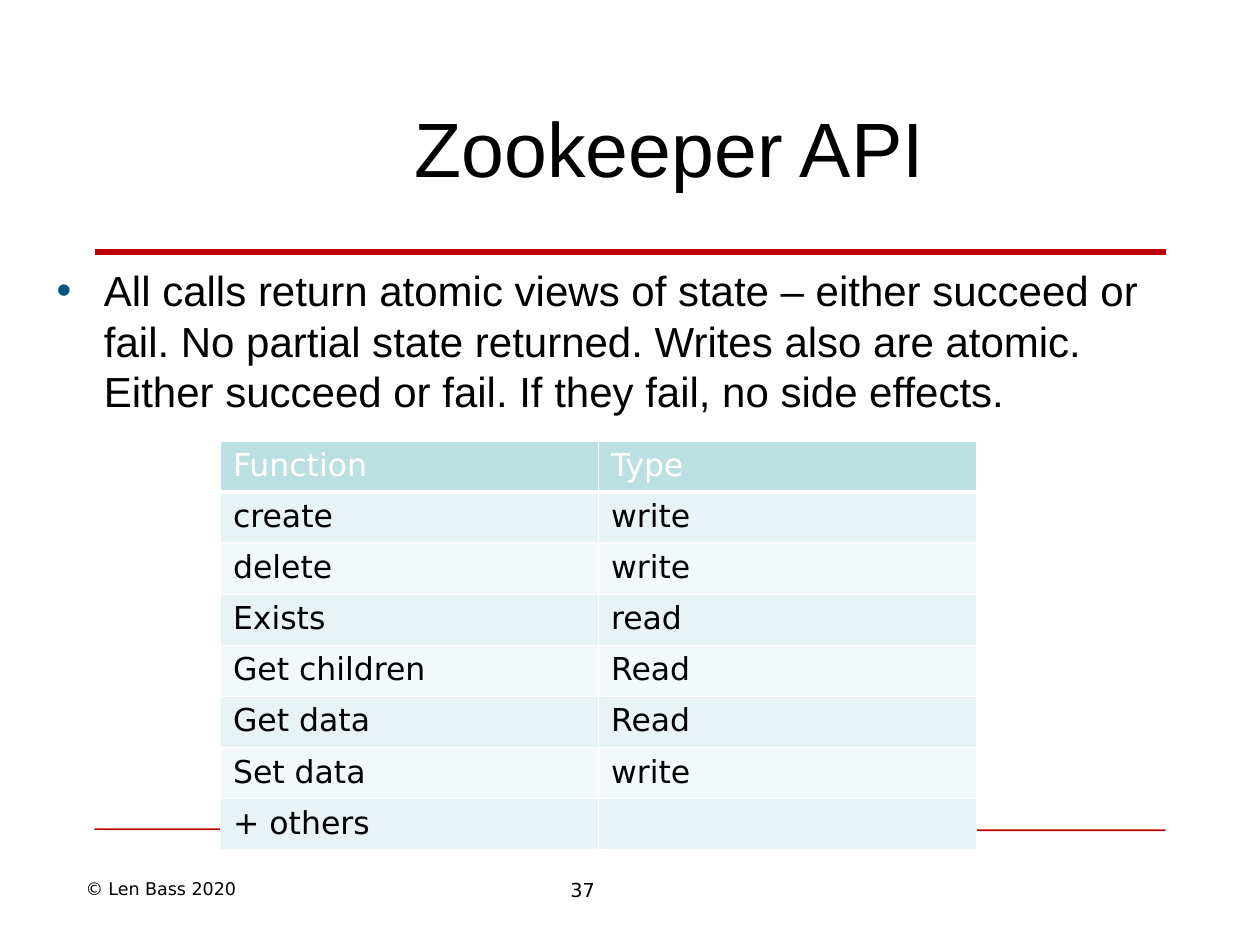
from lxml.etree import SubElement
from pptx import Presentation
from pptx.dml.color import RGBColor
from pptx.enum.shapes import MSO_CONNECTOR
from pptx.enum.text import MSO_ANCHOR, MSO_AUTO_SIZE, PP_ALIGN
from pptx.oxml.ns import qn
from pptx.util import Pt

theme = {
    "black": "000000", "white": "FFFFFF", "red": "C00000", "dot": "005481",
    "head": "BBE0E3", "bands": ("E7F3F4", "F3F9FA"),
    "title": 44, "body": 24, "cell": 18, "page": 11, "foot": 10,
    "sans": "Arial", "mono": "DejaVu Sans",
}


def style(para, size, face, color=theme["black"]):
    """Apply a type size, font and colour to a paragraph."""
    for key, value in {"size": Pt(size), "name": face, "bold": False}.items():
        setattr(para.font, key, value)
    para.font.color.rgb = RGBColor.from_string(color)


def edge(cell, side, width):
    """Draw one white border of a cell; sides go in the order L, R, T, B."""
    line = SubElement(cell._tc.get_or_add_tcPr(), qn(f"a:ln{side}"), w=str(Pt(width)))
    fill = SubElement(line, qn("a:solidFill"))
    SubElement(fill, qn("a:srgbClr"), val=theme["white"])


deck = Presentation()
deck.slide_width, deck.slide_height = Pt(720), Pt(540)
slide = deck.slides.add_slide(deck.slide_layouts[1])
shapes = slide.shapes

# Rules above the body and above the footer
for top, end, width in ((144, 144, 3), (473.8, 474.5, 1)):
    rule = shapes.add_connector(MSO_CONNECTOR.STRAIGHT, Pt(54), Pt(top), Pt(666), Pt(end))
    rule.line.color.rgb = RGBColor.from_string(theme["red"])
    rule.line.width = Pt(width)
    SubElement(rule._element.spPr, qn("a:effectLst"))

# Footer
for text, left, width, high, size, align in (
    ("© Len Bass 2020", 41.8, 156.2, 19.4, theme["foot"], PP_ALIGN.LEFT),
    ("37", 288, 90, 20.9, theme["page"], PP_ALIGN.CENTER),
):
    box = shapes.add_textbox(Pt(left), Pt(498.2), Pt(width), Pt(high))
    box.text_frame.word_wrap = True
    para = box.text_frame.paragraphs[0]
    para.text, para.alignment = text, align
    style(para, size, theme["mono"])

# Title and body
title, body = shapes.title, slide.placeholders[1]
for holder, spot, text, size, anchor in (
    (title, (79.2, 41.8, 607, 84.2), "Zookeeper API", theme["title"], MSO_ANCHOR.MIDDLE),
    (body, (25.2, 147.6, 648, 92.2),
     "All calls return atomic views of state – either succeed or fail. "
     "No partial state returned. Writes also are atomic. "
     "Either succeed or fail. If they fail, no side effects.",
     theme["body"], MSO_ANCHOR.TOP),
):
    for key, value in zip(("left", "top", "width", "height"), spot):
        setattr(holder, key, Pt(value))
    frame = holder.text_frame
    frame.text = text
    frame.auto_size, frame.vertical_anchor = MSO_AUTO_SIZE.NONE, anchor
    para = frame.paragraphs[0]
    if holder is body:
        props = para._p.get_or_add_pPr()
        props.set("marL", str(Pt(27)))
        props.set("indent", str(Pt(-27)))
        tint = SubElement(props, qn("a:buClr"))
        SubElement(tint, qn("a:srgbClr"), val=theme["dot"])
        SubElement(props, qn("a:buFont"), typeface=theme["sans"])
        SubElement(props, qn("a:buChar"), char="•")
        para.space_before = Pt(0)
    else:
        para.alignment = PP_ALIGN.CENTER
    style(para, size, theme["sans"])

# Table of calls
calls = (
    ("Function", "Type"), ("create", "write"), ("delete", "write"),
    ("Exists", "read"), ("Get children", "Read"), ("Get data", "Read"),
    ("Set data", "write"), ("+ others", ""),
)
high = 29.2
table = shapes.add_table(len(calls), 2, Pt(126), Pt(252), Pt(432), Pt(high * len(calls))).table
for row, texts in enumerate(calls):
    table.rows[row].height = Pt(high)
    for col, text in enumerate(texts):
        cell = table.cell(row, col)
        cell.text = text
        color = theme["black"] if row else theme["white"]
        style(cell.text_frame.paragraphs[0], theme["cell"], theme["mono"], color)
        for side in "LRTB":
            edge(cell, side, 3 if row == 0 and side == "B" else 1)
        shade = theme["bands"][(row - 1) % 2] if row else theme["head"]
        cell.fill.solid()
        cell.fill.fore_color.rgb = RGBColor.from_string(shade)

deck.save("out.pptx")
